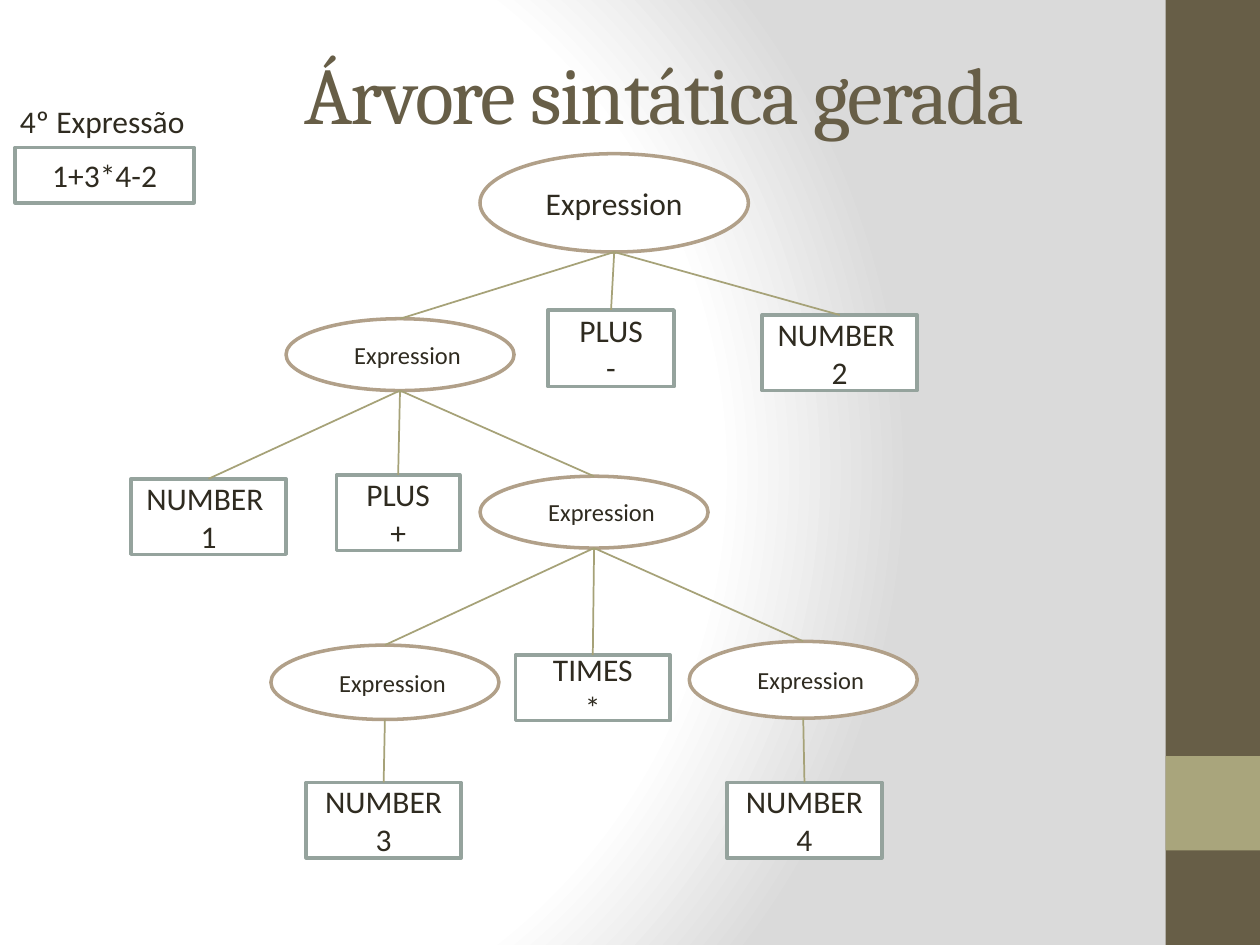
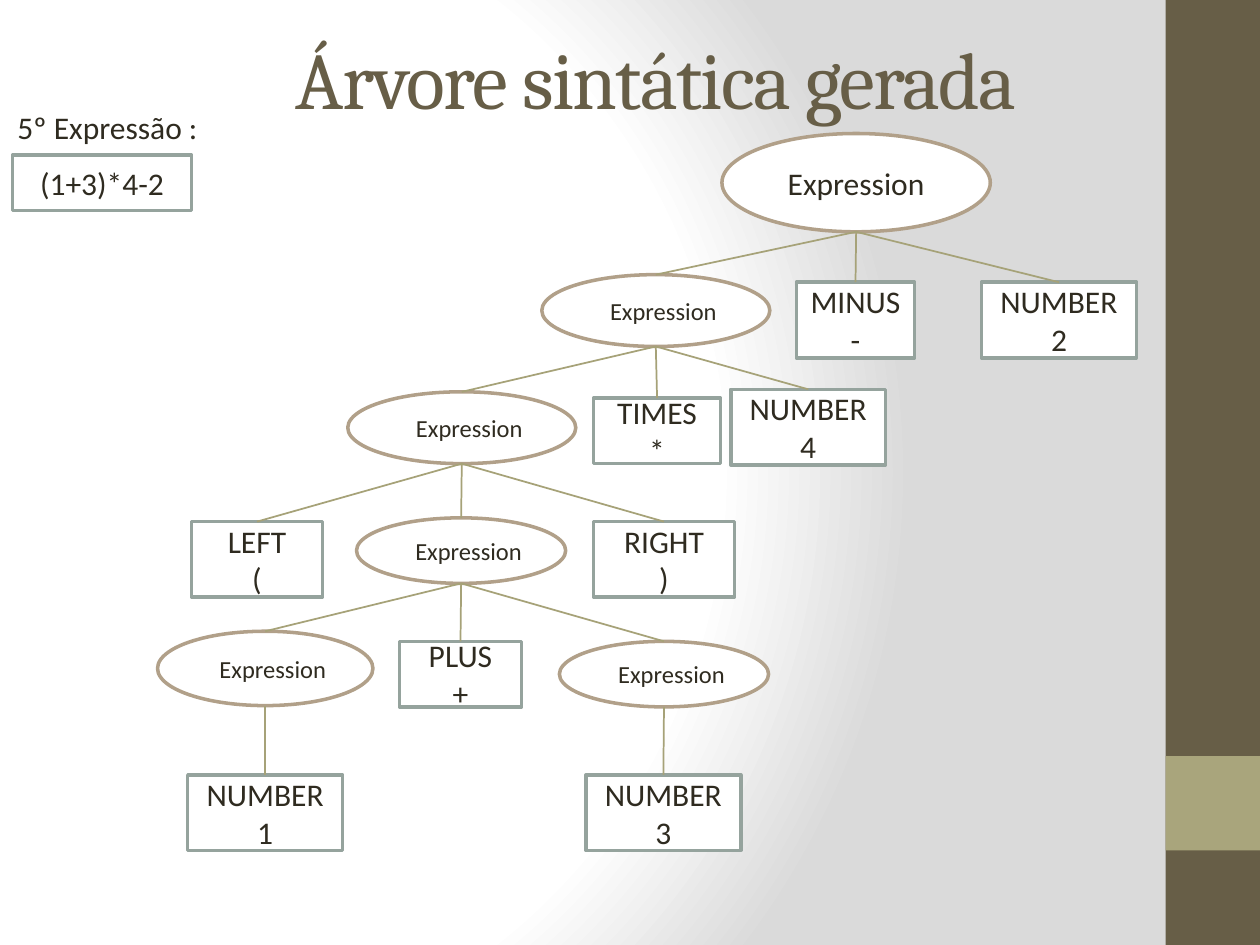
from pptx import Presentation
from pptx import util as u
from pptx.dml.color import RGBColor
from pptx.enum import shapes, text
from pptx.oxml import parse_xml
from pptx.oxml.ns import qn

NS = 'xmlns:a="http://schemas.openxmlformats.org/drawingml/2006/main"'
INK, BROWN, SAND = "2F2B20", "675E47", "A9A57C"
OVAL, BOX, EDGE, WHITE = "B1A089", "95A39D", "A6A278", "FFFFFF"
TITLE = "Árvore sintática gerada "
BANDS = [(0, 7.5, BROWN), (6, 0.75, SAND)]  # top, height, colour
STOPS = [(0, WHITE), (75, WHITE), (100, "DADADA")]

ROOT, MID, LOW = (2.13, 0.78), (1.81, 0.57), (1.66, 0.52)
NUM = (1.23, 0.6)


def expr(left, top, size, *kids):
    return "Expression", left, top, size, kids


def leaf(name, left, top, size=NUM):
    return name, left, top, size, ()


# Each node: text, left, top, size, children
FOURTH = expr(
    3.81, 1.22, ROOT,
    expr(2.27, 2.53, MID,
         leaf("NUMBER \n1", 1.04, 3.8),
         leaf("PLUS\n+", 2.67, 3.77, (0.98, 0.6)),
         expr(3.81, 3.78, MID,
              expr(2.15, 5.12, (1.81, 0.59), leaf("NUMBER\n3", 2.43, 6.21)),
              leaf("TIMES\n*", 4.09, 5.2, (1.23, 0.52)),
              expr(5.47, 5.09, (1.81, 0.61), leaf("NUMBER\n4", 5.77, 6.21)))),
    leaf("PLUS\n-", 4.35, 2.46, (1, 0.61)),
    leaf("NUMBER \n2", 6.05, 2.5))

FIFTH = expr(
    5.73, 1.06, ROOT,
    expr(4.3, 2.18, MID,
         expr(2.76, 3.11, MID,
              leaf("LEFT\n(", 1.52, 4.14, (1.04, 0.6)),
              expr(2.83, 4.11, LOW,
                   expr(1.25, 5.01, (1.71, 0.59), leaf("NUMBER\n1", 1.49, 6.15)),
                   leaf("PLUS\n+", 3.17, 5.09, (0.97, 0.52)),
                   expr(4.44, 5.09, LOW, leaf("NUMBER\n3", 4.65, 6.15))),
              leaf("RIGHT\n)", 4.71, 4.14, (1.12, 0.6))),
         leaf("TIMES\n*", 4.71, 3.16, (1.01, 0.52)),
         leaf("NUMBER\n4", 5.8, 3.09)),
    leaf("MINUS\n-", 6.32, 2.24, (0.94, 0.6)),
    leaf("NUMBER\n2", 7.79, 2.24))

SLIDES = [
    dict(title=(1.75, 0.34, 7.17, 0.79), label="4º Expressão",
         spot=(0.06, 0.76, 1.58, 0.4), code="1+3*4-2", box=(0.12, 1.17), tree=FOURTH),
    dict(title=(1.52, 0.22, 7.5, 0.79), label="5º Expressão :",
         spot=(0.04, 0.81, 1.65, 0.4), code="(1+3)*4-2", box=(0.1, 1.23), tree=FIFTH),
]


def rgb(code):
    return RGBColor.from_string(code)


def inch(*vals):
    return [u.Inches(v) for v in vals]


def write(shape, words, size=18, font="Calibri", color=INK, align=text.PP_ALIGN.CENTER):
    frame = shape.text_frame
    frame.text = words
    for par in frame.paragraphs:
        par.alignment = align
        for run in par.runs:
            run.font.size = u.Pt(size)
            run.font.name = font
            run.font.color.rgb = rgb(color)
    return frame


def block(slide, kind, area, fill, line=None):
    shape = slide.shapes.add_shape(kind, *inch(*area))
    shape.shadow.inherit = False
    shape.fill.solid()
    shape.fill.fore_color.rgb = rgb(fill)
    if line:
        shape.line.color.rgb = rgb(line)
        shape.line.width = u.Pt(2)
    else:
        shape.line.fill.background()
    return shape


def tile(slide, words, left, top, size):
    """Draw one outlined node: an ellipse for an expression, else a box."""
    oval = words == "Expression"
    kind = shapes.MSO_SHAPE.OVAL if oval else shapes.MSO_SHAPE.RECTANGLE
    shape = block(slide, kind, (left, top, *size), WHITE, OVAL if oval else BOX)
    inner = oval and size != ROOT
    frame = write(shape, words, 14 if inner else 18)
    frame.word_wrap = True
    frame.vertical_anchor = text.MSO_ANCHOR.MIDDLE
    frame.margin_left = frame.margin_right = u.Inches(0.05)
    if inner:
        par = frame.paragraphs[0]
        par.space_before = u.Pt(2.8)
        par._p.get_or_add_pPr().set("marL", str(u.Inches(0.12)))
    return shape


def grow(slide, node):
    """Draw a node and its subtree, joined by lines."""
    *part, kids = node
    top = tile(slide, *part)
    for kid in kids:
        child = grow(slide, kid)
        line = slide.shapes.add_connector(
            shapes.MSO_CONNECTOR.STRAIGHT, top.left + top.width // 2,
            top.top + top.height, child.left + child.width // 2, child.top)
        line.end_connect(child, 0)
        line.line.color.rgb = rgb(EDGE)
        line.line.width = u.Pt(1)
        line._element.spPr.append(parse_xml(f"<a:effectLst {NS}/>"))
    return top


def shade(master):
    """Give the master its radial background."""
    master.background.fill.solid()
    back = master._element.find(".//" + qn("p:bgPr"))
    stops = "".join(f'<a:gs pos="{pos * 1000}"><a:srgbClr val="{code}"/></a:gs>'
                    for pos, code in STOPS)
    back.replace(back[0], parse_xml(
        f'<a:gradFill {NS} rotWithShape="1"><a:gsLst>{stops}</a:gsLst><a:path path="circle">'
        '<a:fillToRect l="20000" t="50000" r="100000" b="50000"/></a:path></a:gradFill>'))


def build(slide, data):
    for top, height, color in BANDS:
        block(slide, shapes.MSO_SHAPE.RECTANGLE, (9.25, top, 0.75, height), color)
    grow(slide, data["tree"])
    tile(slide, data["code"], *data["box"], (1.42, 0.44))

    title = slide.shapes.add_textbox(*inch(*data["title"]))
    frame = write(title, TITLE, 46, "Cambria", BROWN)
    frame.word_wrap = True
    frame.vertical_anchor = text.MSO_ANCHOR.MIDDLE
    frame.paragraphs[0].runs[0]._r.get_or_add_rPr().set("spc", "-100")

    label = slide.shapes.add_textbox(*inch(*data["spot"]))
    frame = write(label, data["label"], align=text.PP_ALIGN.LEFT)
    frame.word_wrap = False
    frame.auto_size = text.MSO_AUTO_SIZE.SHAPE_TO_FIT_TEXT


def main():
    prs = Presentation()
    prs.slide_width, prs.slide_height = inch(10, 7.5)
    shade(prs.slide_master)
    for data in SLIDES:
        build(prs.slides.add_slide(prs.slide_layouts[6]), data)
    prs.save("out.pptx")


if __name__ == "__main__":
    main()
